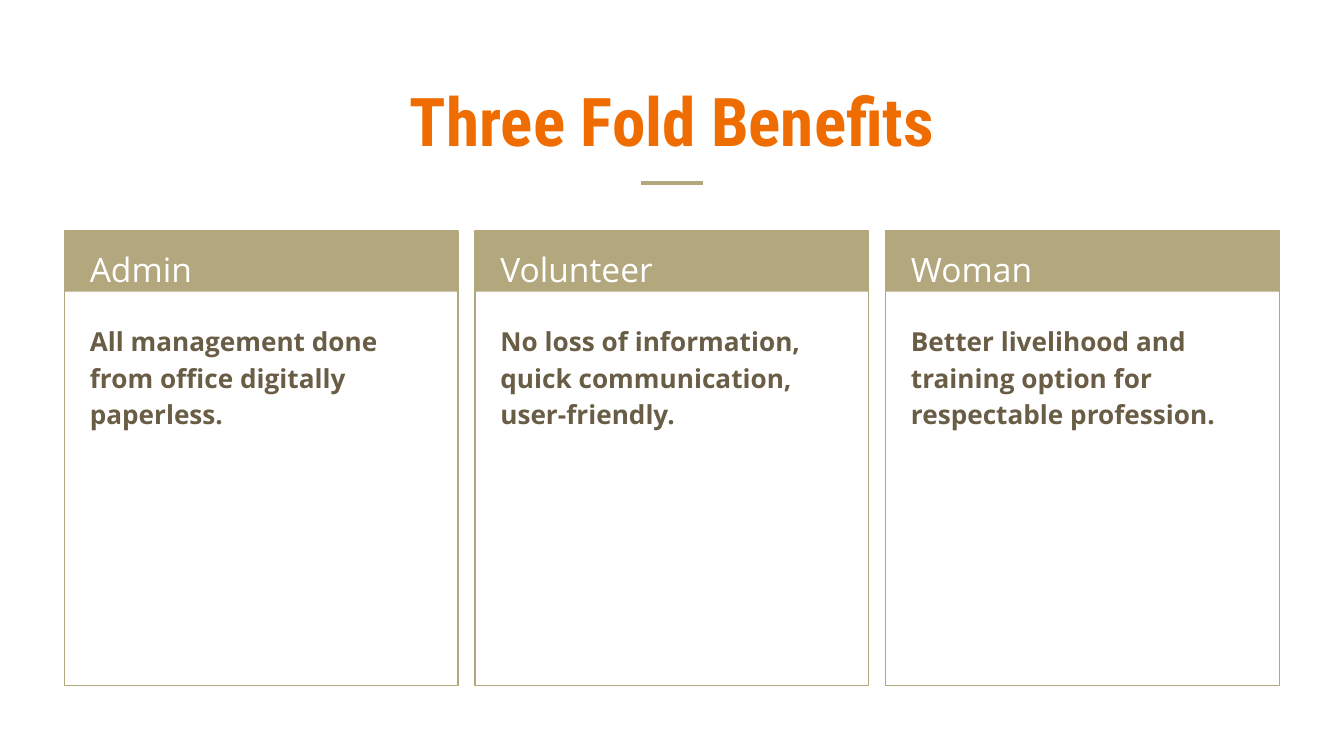
import pptx
import pptx.util
import pptx.dml.color
import pptx.enum.shapes
import pptx.enum.text
import pptx.oxml.ns
import lxml.etree

Inches = pptx.util.Inches
Pt = pptx.util.Pt
RGBColor = pptx.dml.color.RGBColor
ALIGN = pptx.enum.text.PP_ALIGN

ORANGE = RGBColor(0xEF, 0x6C, 0x00)
KHAKI = RGBColor(0xB3, 0xA7, 0x7D)
BROWN = RGBColor(0x69, 0x5D, 0x46)
WHITE = RGBColor(0xFF, 0xFF, 0xFF)

SLIDE_WIDTH = 10
SLIDE_HEIGHT = SLIDE_WIDTH * 9 / 16
CARD_LEFT, CARD_TOP = 0.48, 1.72
CARD_WIDTH, CARD_HEIGHT = 2.93, 3.38
HEADER_HEIGHT = 0.45
CARD_PITCH = (6.59 - CARD_LEFT) / 2
TEXT_INDENT, TEXT_WIDTH = 0.09, 2.73

BENEFITS = [
    ("Admin", "All management done from office digitally paperless."),
    ("Volunteer", "No loss of information, quick communication, user-friendly."),
    ("Woman", "Better livelihood and training option for respectable profession."),
]


def add_text(s, text, left, top, width, height, *, size, color,
             font="Open Sans", bold=False, align=ALIGN.LEFT,
             line_spacing=1.0, space_after=0):
    sp = s.shapes.add_textbox(Inches(left), Inches(top), Inches(width), Inches(height))
    tf = sp.text_frame
    tf.word_wrap = True
    tf.vertical_anchor = pptx.enum.text.MSO_ANCHOR.TOP
    tf.margin_left = tf.margin_right = Inches(0.1)
    tf.margin_top = tf.margin_bottom = Inches(0.1)
    p = tf.paragraphs[0]
    p.alignment = align
    p.line_spacing = line_spacing
    p.space_after = Pt(space_after)
    r = p.add_run()
    r.text = text
    r.font.name = font
    r.font.size = Pt(size)
    r.font.bold = bold
    r.font.color.rgb = color


def add_rect(parent, left, top, width, height, *, fill=None, line=None):
    sp = parent.shapes.add_shape(
        pptx.enum.shapes.MSO_SHAPE.RECTANGLE,
        Inches(left), Inches(top), Inches(width), Inches(height))
    sp.shadow.inherit = False
    if fill is None:
        sp.fill.background()
    else:
        sp.fill.solid()
        sp.fill.fore_color.rgb = fill
    if line is None:
        sp.line.fill.background()
    else:
        sp.line.color.rgb = line
        sp.line.width = Pt(0.75)


def add_rule(s, left, right, top):
    rule = s.shapes.add_connector(
        pptx.enum.shapes.MSO_CONNECTOR.STRAIGHT,
        Inches(left), Inches(top), Inches(right), Inches(top))
    rule.line.color.rgb = KHAKI
    rule.line.width = Pt(2.25)
    lxml.etree.SubElement(rule.element.spPr, pptx.oxml.ns.qn("a:effectLst"))


def add_card(s, left, heading, body):
    frame = s.shapes.add_group_shape()
    add_rect(frame, left, CARD_TOP, CARD_WIDTH, CARD_HEIGHT, line=KHAKI)
    add_rect(frame, left, CARD_TOP, CARD_WIDTH, HEADER_HEIGHT, fill=KHAKI)
    text_left = left + TEXT_INDENT
    add_text(s, heading, text_left, 1.71, TEXT_WIDTH, HEADER_HEIGHT,
             size=18, color=WHITE, line_spacing=1.15)
    add_text(s, body, text_left, 2.29, TEXT_WIDTH, 2.8,
             size=14, color=BROWN, bold=True, line_spacing=1.15, space_after=8)


def main():
    prs = pptx.Presentation()
    prs.slide_width = Inches(SLIDE_WIDTH)
    prs.slide_height = Inches(SLIDE_HEIGHT)
    s = prs.slides.add_slide(prs.slide_layouts[6])
    add_text(s, "Three Fold Benefits", 0.34, 0.49, 9.32, 0.77, size=36,
             color=ORANGE, font="Roboto Condensed", bold=True, align=ALIGN.CENTER)
    add_rule(s, 4.77, 5.23, 1.36)
    for i, (heading, body) in enumerate(BENEFITS):
        add_card(s, CARD_LEFT + i * CARD_PITCH, heading, body)
    prs.save("out.pptx")


if __name__ == "__main__":
    main()
